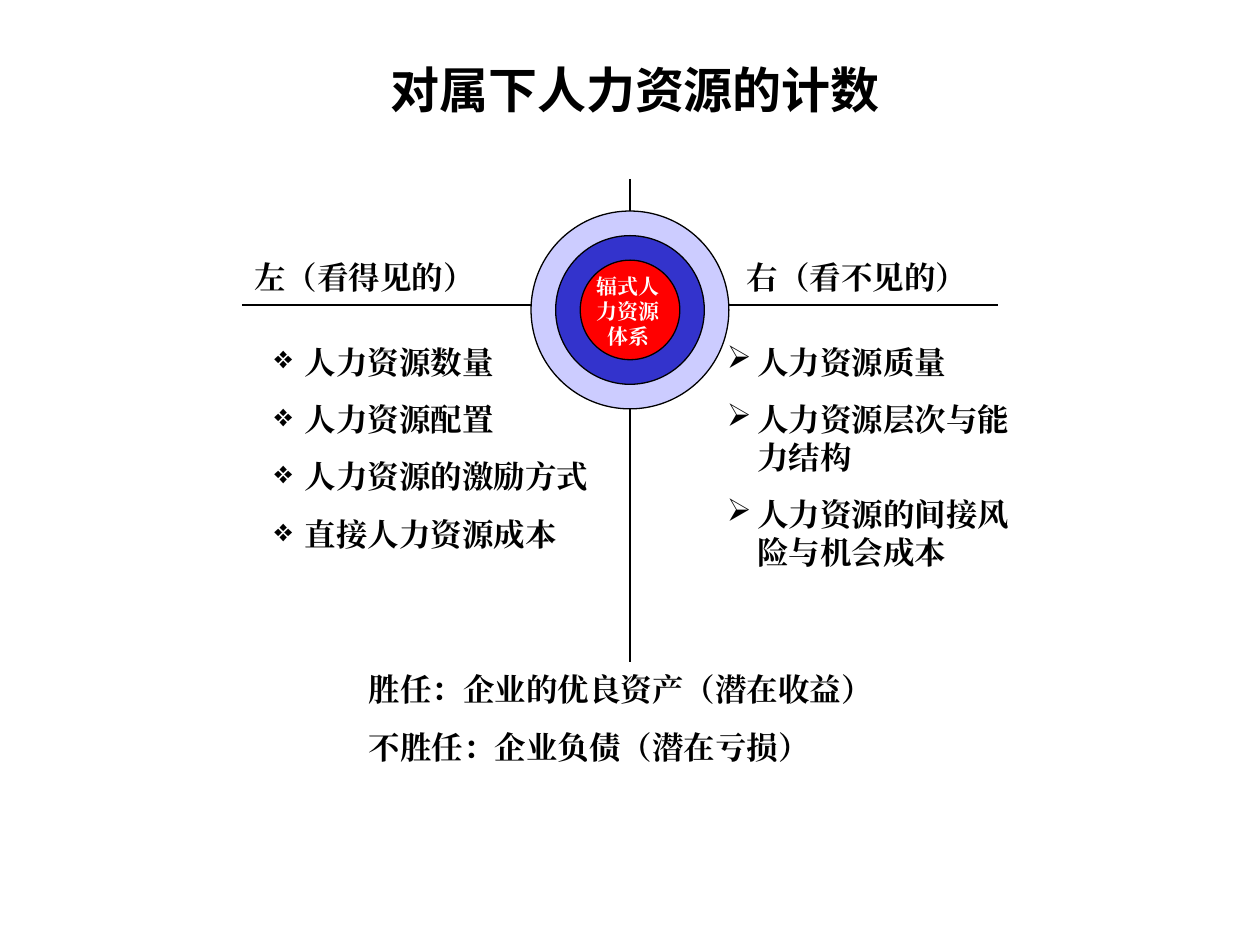
from pptx import Presentation
from pptx.dml.color import RGBColor
from pptx.enum.shapes import MSO_CONNECTOR, MSO_SHAPE
from pptx.enum.text import PP_ALIGN
from pptx.oxml.ns import qn
from pptx.util import Inches, Pt
from lxml import etree

OVAL = MSO_SHAPE.OVAL
STRAIGHT = MSO_CONNECTOR.STRAIGHT
LEFT, CENTER = PP_ALIGN.LEFT, PP_ALIGN.CENTER
BLACK, WHITE = "000000", "FFFFFF"


def rgb(value):
    return RGBColor.from_string(value)


def add_text(p, text, size=18, font="Times New Roman", color=BLACK, align=LEFT):
    p.alignment = align
    r = p.add_run()
    r.text = text
    r.font.size = Pt(size)
    r.font.bold = True
    r.font.name = font
    r.font.color.rgb = rgb(color)
    etree.SubElement(r.font._element, qn("a:ea")).set("typeface", font)


def add_bullet(p, char, indent=0.24):
    pPr = p._p.get_or_add_pPr()
    pPr.set("marL", str(Inches(indent)))
    pPr.set("indent", str(-Inches(indent)))
    clr = etree.SubElement(pPr, qn("a:buClr"))
    etree.SubElement(clr, qn("a:srgbClr")).set("val", BLACK)
    etree.SubElement(pPr, qn("a:buChar")).set("char", char)


class Deck:
    line_width = Pt(0.75)
    gap = Pt(11.2)

    def __init__(self, width, height):
        self.prs = Presentation()
        self.prs.slide_width = Inches(width)
        self.prs.slide_height = Inches(height)
        self.s = self.prs.slides.add_slide(self.prs.slide_layouts[6])

    def line(self, x1, y1, x2, y2):
        c = self.s.shapes.add_connector(
            STRAIGHT, Inches(x1), Inches(y1), Inches(x2), Inches(y2))
        c.line.color.rgb = rgb(BLACK)
        c.line.width = self.line_width
        etree.SubElement(c._element.spPr, qn("a:effectLst"))

    def circle(self, cx, cy, diameter, fill):
        d = Inches(diameter)
        sp = self.s.shapes.add_shape(
            OVAL, Inches(cx) - d // 2, Inches(cy) - d // 2, d, d)
        sp.shadow.inherit = False
        sp.fill.solid()
        sp.fill.fore_color.rgb = rgb(fill)
        sp.line.color.rgb = rgb(BLACK)
        sp.line.width = self.line_width

    def text(self, x, y, w, h, *lines, bullet=None, **fmt):
        tf = self.s.shapes.add_textbox(
            Inches(x), Inches(y), Inches(w), Inches(h)).text_frame
        tf.word_wrap = True
        for i, line in enumerate(lines):
            p = tf.add_paragraph() if i else tf.paragraphs[0]
            if i:
                p.space_before = self.gap
            if bullet:
                add_bullet(p, bullet)
            add_text(p, line, **fmt)


def main():
    deck = Deck(10, 7.5)
    deck.line(1.92, 2.42, 7.92, 2.42)
    deck.line(5, 1.42, 5, 5.25)

    deck.text(1.92, 2, 2.17, 0.4, "左（看得见的）")
    deck.text(5.83, 2, 2, 0.4, "右（看不见的）")
    deck.text(2.08, 2.67, 2.75, 1.77, "人力资源数量", "人力资源配置",
              "人力资源的激励方式", "直接人力资源成本", bullet="❖")
    deck.text(5.67, 2.67, 2.67, 1.92, "人力资源质量", "人力资源层次与能力结构",
              "人力资源的间接风险与机会成本", bullet="➢")
    deck.text(2.83, 5.27, 4.33, 0.86, "胜任：企业的优良资产（潜在收益）",
              "不胜任：企业负债（潜在亏损）")

    for diameter, fill in ((1.57, "CCCCFF"), (1.18, "3333CC"), (0.79, "FF0000")):
        deck.circle(5, 2.46, diameter, fill)
    deck.text(4.57, 2.12, 0.83, 0.7, "辐式人力资源体系",
              size=12, color=WHITE, align=CENTER)
    deck.text(1.83, 0.42, 6.42, 0.57, "对属下人力资源的计数",
              size=28, font="Noto Sans CJK SC", align=CENTER)

    deck.prs.save("out.pptx")


if __name__ == "__main__":
    main()
